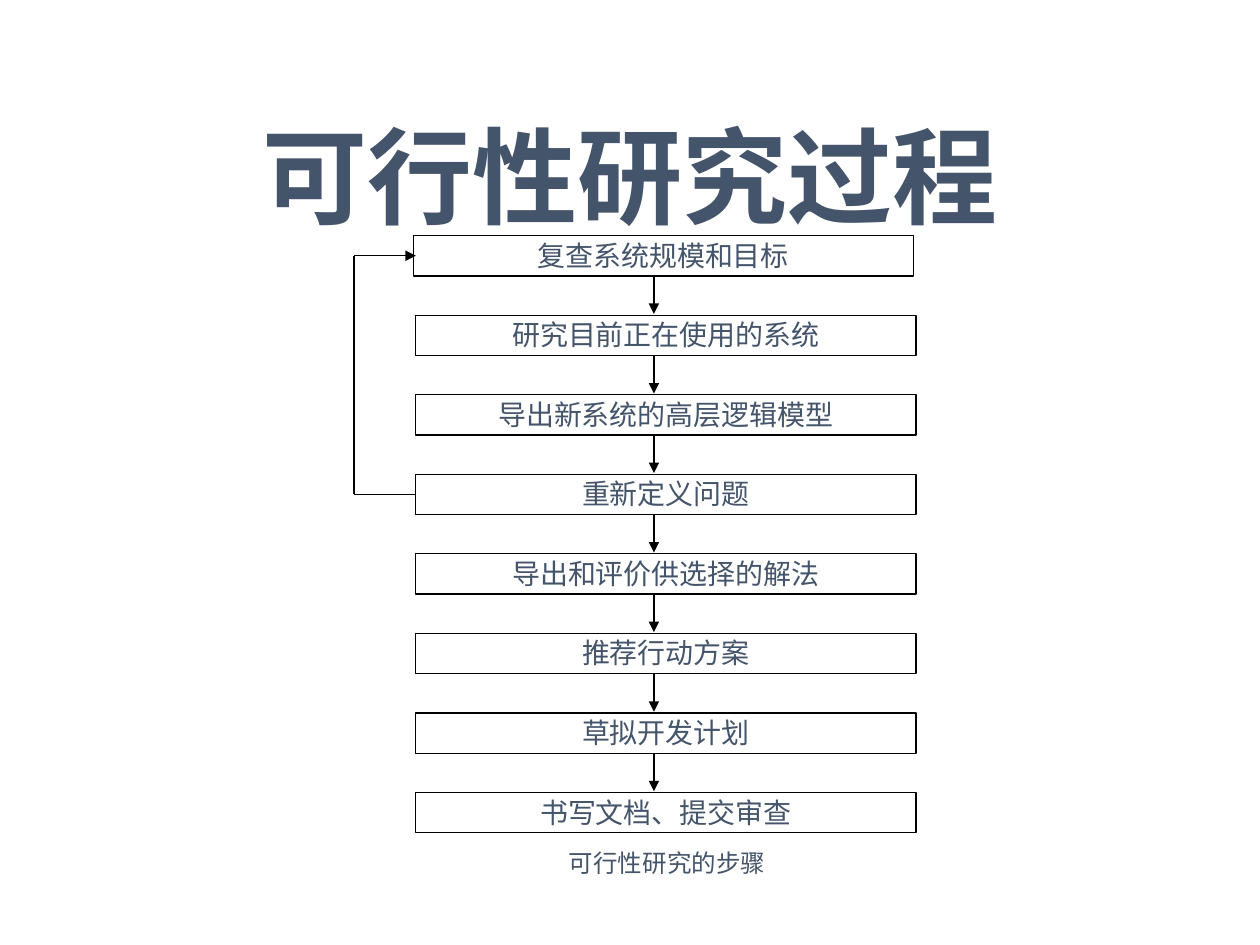
"""Build a slide that shows the steps of a feasibility study as a flow chart."""
from dataclasses import dataclass
from itertools import pairwise

from pptx import Presentation
from pptx import util as u
from pptx.dml.color import RGBColor
from pptx.enum import shapes, text
from pptx.oxml.ns import qn
from lxml import etree

TITLE = "可行性研究过程"
STEPS = [
    "复查系统规模和目标",
    "研究目前正在使用的系统",
    "导出新系统的高层逻辑模型",
    "重新定义问题",
    "导出和评价供选择的解法",
    "推荐行动方案",
    "草拟开发计划",
    "书写文档、提交审查",
]
CAPTION = "可行性研究的步骤"
BACK = (3, 0)


@dataclass(frozen=True)
class Theme:
    ink: str = "44546A"
    line: str = "000000"
    paper: str = "FFFFFF"
    head: str = "DejaVu Sans"
    body: str = "Arial"
    big: int = 60
    mid: int = 16
    small: int = 14
    rule: float = 0.75


T = Theme()
WIDE, HIGH = 10, 7.5
LEFT, TOP, LAST = 3.3, 1.87, 6.29
BOX_W, BOX_H = 3.97, 0.32
PITCH = (LAST - TOP) / (len(STEPS) - 1)
STEM, LOOP = 5.19, 2.81


def color(code):
    return RGBColor.from_string(code)


def place(shape, *spot):
    shape.left, shape.top, shape.width, shape.height = map(u.Inches, spot)


def write(shape, words, size=T.mid, font=T.body, bold=False, space=1.0,
          anchor=text.MSO_ANCHOR.TOP, inset=0.02):
    frame = shape.text_frame
    frame.word_wrap = True
    frame.auto_size = text.MSO_AUTO_SIZE.NONE
    frame.vertical_anchor = anchor
    frame.margin_top = frame.margin_bottom = u.Inches(inset)
    para = frame.paragraphs[0]
    para.alignment = text.PP_ALIGN.CENTER
    para.line_spacing = space
    run = para.add_run()
    run.text = words
    run.font.size, run.font.name, run.font.bold = u.Pt(size), font, bold
    run.font.color.rgb = color(T.ink)


def box(slide, words, left, top, width=BOX_W, edge=T.line, size=T.mid):
    shape = slide.shapes.add_shape(shapes.MSO_SHAPE.RECTANGLE, 0, 0, 0, 0)
    place(shape, left, top, width, BOX_H)
    shape.shadow.inherit = False
    shape.fill.solid()
    shape.fill.fore_color.rgb = color(T.paper)
    shape.line.color.rgb = color(edge)
    shape.line.width = u.Pt(T.rule)
    write(shape, words, size=size)


def link(slide, start, end, arrow=True):
    line = slide.shapes.add_connector(
        shapes.MSO_CONNECTOR.STRAIGHT, *map(u.Inches, (*start, *end)))
    line.line.color.rgb = color(T.line)
    line.line.width = u.Pt(T.rule)
    if arrow:
        etree.SubElement(line.line._get_or_add_ln(), qn("a:tailEnd"), type="triangle")
    etree.SubElement(line._element.spPr, qn("a:effectLst"))


def main():
    deck = Presentation()
    deck.slide_width, deck.slide_height = u.Inches(WIDE), u.Inches(HIGH)
    slide = deck.slides.add_slide(deck.slide_layouts[5])
    title = slide.shapes.title
    place(title, 0, 0.86, WIDE, 1.17)
    write(title, TITLE, size=T.big, font=T.head, bold=True, space=0.9,
          anchor=text.MSO_ANCHOR.MIDDLE, inset=0.05)

    tops = [TOP + row * PITCH for row in range(len(STEPS))]
    for row, (words, top) in enumerate(zip(STEPS, tops)):
        box(slide, words, LEFT if row else LEFT - 0.02, top)
    for top, below in pairwise(tops):
        link(slide, (STEM, top + BOX_H), (STEM, below - 0.01))

    low, high = (tops[row] + BOX_H / 2 for row in BACK)
    route = [(LEFT, low), (LOOP, low), (LOOP, high), (LEFT, high)]
    for start, end in pairwise(route):
        link(slide, start, end, arrow=end == route[-1])

    box(slide, CAPTION, LEFT + 0.02, 6.71, width=3.95, edge=T.paper, size=T.small)
    deck.save("out.pptx")


if __name__ == "__main__":
    main()
